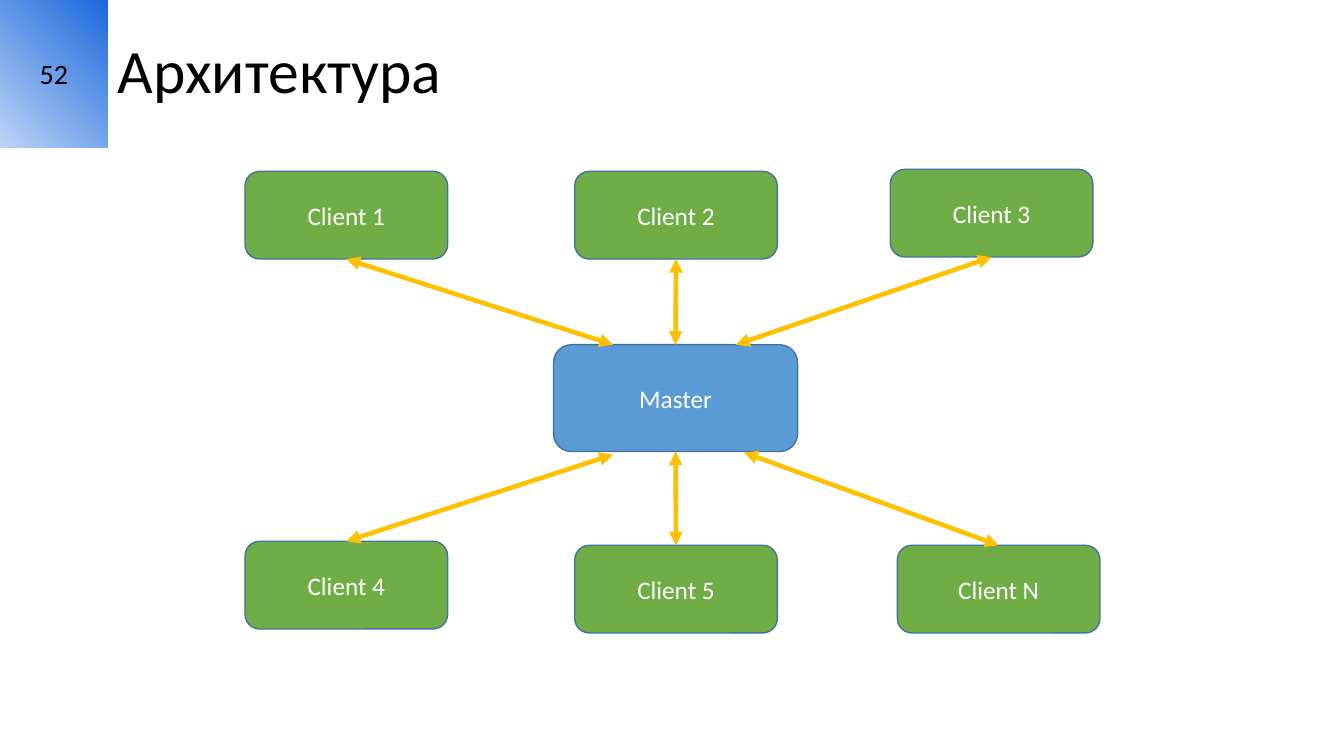
from dataclasses import dataclass
from typing import Optional

from lxml.etree import SubElement
from pptx import Presentation
from pptx.dml.color import RGBColor
from pptx.enum.shapes import MSO_CONNECTOR, MSO_SHAPE
from pptx.enum.text import MSO_ANCHOR, PP_ALIGN
from pptx.oxml.ns import qn
from pptx.shapes.autoshape import Shape
from pptx.slide import Slide
from pptx.util import Inches, Pt

TOP, BOTTOM = 0, 2
BLUE, GREEN, OUTLINE, ARROW = "5B9BD5", "70AD47", "43739E", "FFC000"
CLIENT_W, CLIENT_H = 2.01, 0.87


@dataclass
class Box:
    text: str
    left: float
    top: float
    width: float = CLIENT_W
    height: float = CLIENT_H
    fill: str = GREEN


@dataclass
class Client:
    box: Box
    side: int
    master_x: Optional[float] = None
    master_y: float = 0


MASTER = Box("Master", 5.49, 3.42, 2.42, 1.06, BLUE)
CLIENTS = [
    Client(Box("Client 1", 2.43, 1.7), BOTTOM, 6.08, 3.42),
    Client(Box("Client 2", 5.7, 1.7), BOTTOM),
    Client(Box("Client 3", 8.83, 1.68), BOTTOM, 7.3, 3.42),
    Client(Box("Client 4", 2.43, 5.37), TOP, 6.08, 4.51),
    Client(Box("Client 5", 5.7, 5.41), TOP),
    Client(Box("Client N", 8.9, 5.41), TOP, 7.38, 4.49),
]


def color(value: str) -> RGBColor:
    return RGBColor.from_string(value)


def set_text(sp: Shape, text: str, size: int, rgb: str, align: PP_ALIGN) -> None:
    tf = sp.text_frame
    tf.word_wrap = True
    tf.vertical_anchor = MSO_ANCHOR.MIDDLE
    p = tf.paragraphs[0]
    p.text = text
    p.alignment = align
    p.font.name = "Calibri"
    p.font.size = Pt(size)
    p.font.color.rgb = color(rgb)


def add_number(s: Slide, text: str) -> None:
    sp = s.shapes.add_shape(MSO_SHAPE.RECTANGLE, 0, 0, Inches(1.07), Inches(1.46))
    sp.shadow.inherit = False
    sp.line.fill.background()
    sp.fill.gradient()
    sp.fill.gradient_angle = 225
    for stop, rgb in zip(sp.fill.gradient_stops, ("1968DD", "BED4F6")):
        stop.color.rgb = color(rgb)
    set_text(sp, text, 20, "000000", PP_ALIGN.CENTER)
    tf = sp.text_frame
    tf.margin_left = tf.margin_right = tf.margin_top = tf.margin_bottom = Inches(0.1)


def add_title(s: Slide, text: str) -> None:
    sp = s.shapes.add_textbox(Inches(1.07), 0, Inches(12.26), Inches(1.46))
    set_text(sp, text, 44, "000000", PP_ALIGN.LEFT)
    sp.text_frame.paragraphs[0].line_spacing = 0.9


def add_box(s: Slide, box: Box) -> Shape:
    sp = s.shapes.add_shape(
        MSO_SHAPE.ROUNDED_RECTANGLE,
        Inches(box.left), Inches(box.top), Inches(box.width), Inches(box.height),
    )
    sp.shadow.inherit = False
    sp.fill.solid()
    sp.fill.fore_color.rgb = color(box.fill)
    sp.line.color.rgb = color(OUTLINE)
    sp.line.width = Pt(1)
    set_text(sp, box.text, 18, "FFFFFF", PP_ALIGN.CENTER)
    return sp


def add_arrow(s: Slide, client: Client, client_sp: Shape, master_sp: Shape) -> None:
    x, y = Inches(client.master_x or 0), Inches(client.master_y)
    cxn = s.shapes.add_connector(MSO_CONNECTOR.STRAIGHT, x, y, x, y)
    if client.master_x is None:
        cxn.begin_connect(master_sp, TOP if client.side == BOTTOM else BOTTOM)
    cxn.end_connect(client_sp, client.side)
    cxn.line.color.rgb = color(ARROW)
    cxn.line.width = Pt(3.25)
    ln = cxn.line._get_or_add_ln()
    for end in ("a:headEnd", "a:tailEnd"):
        SubElement(ln, qn(end), type="triangle")
    SubElement(cxn._element.spPr, qn("a:effectLst"))


def main() -> None:
    prs = Presentation()
    prs.slide_width, prs.slide_height = Inches(13.33), Inches(7.5)
    s = prs.slides.add_slide(prs.slide_layouts[6])
    add_number(s, "52")
    add_title(s, "Архитектура")
    master_sp = add_box(s, MASTER)
    for client in CLIENTS:
        client_sp = add_box(s, client.box)
        add_arrow(s, client, client_sp, master_sp)
    prs.save("out.pptx")


if __name__ == "__main__":
    main()
